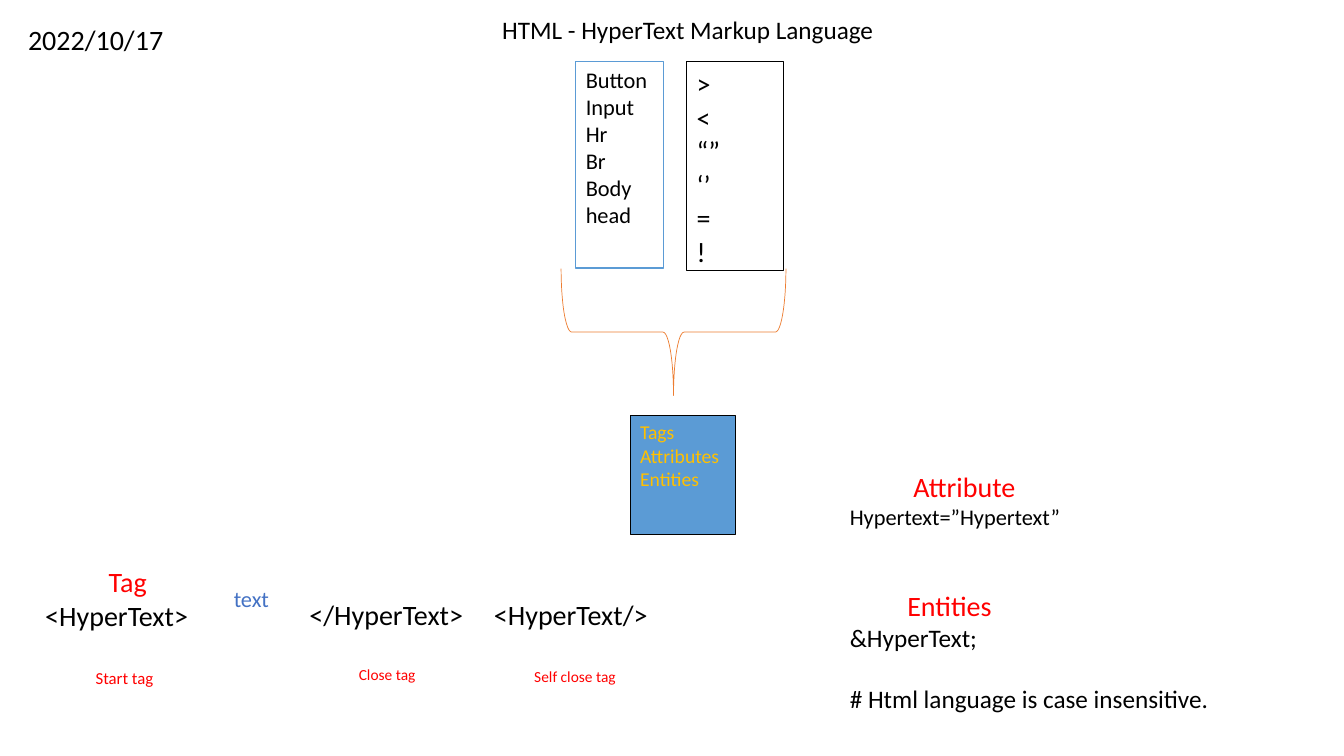
from dataclasses import dataclass
from typing import Optional

from lxml import etree
from pptx import Presentation
from pptx.dml.color import RGBColor
from pptx.enum import shapes, text
from pptx.oxml import ns
from pptx.util import Inches, Pt

BLACK = RGBColor(0x00, 0x00, 0x00)
WHITE = RGBColor(0xFF, 0xFF, 0xFF)
RED = RGBColor(0xFF, 0x00, 0x00)
BLUE = RGBColor(0x5B, 0x9B, 0xD5)
DARK_BLUE = RGBColor(0x44, 0x72, 0xC4)
ORANGE = RGBColor(0xED, 0x7D, 0x31)
GOLD = RGBColor(0xFF, 0xC0, 0x00)
FONT = "Calibri"


@dataclass(frozen=True)
class Line:
    text: str
    size: float
    color: RGBColor = BLACK
    indent: float = 0
    before: float = 0


@dataclass(frozen=True)
class Box:
    left: float
    top: float
    width: float
    height: float
    lines: list[Line]
    fill: RGBColor = WHITE
    border: Optional[RGBColor] = None
    border_pt: float = 0.5


def same_style(words: list[str], size: float, color: RGBColor = BLACK) -> list[Line]:
    return [Line(word, size, color) for word in words]


ELEMENT_LIST = Box(5.71, 0.61, 0.87, 2.05,
                   same_style(["Button", "Input", "Hr", "Br", "Body", "head"], 16),
                   border=BLUE, border_pt=1)
SYMBOL_LIST = Box(6.81, 0.61, 0.96, 2.07,
                  same_style([">", "<", "“”", "‘’", "=", "!"], 20), border=BLACK)
TITLE = Box(4.88, 0.07, 4.2, 0.44, [Line("HTML - HyperText Markup Language", 18)])

BOXES = [
    Box(6.25, 4.12, 1.04, 1.18,
        same_style(["Tags", "Attributes", "Entities"], 14, GOLD), BLUE, BLACK),
    Box(0.35, 5.55, 6.42, 1.52, [
        Line("Tag", 20, RED, indent=0.63),
        Line("<HyperText>", 20),
    ]),
    Box(2.97, 5.88, 1.75, 0.42, [Line("</HyperText>", 20)]),
    Box(4.8, 5.88, 1.75, 0.42, [Line("<HyperText/>", 20)]),
    Box(0.85, 6.58, 0.8, 0.44, [Line("Start tag", 12, RED)]),
    Box(2.22, 5.76, 0.62, 0.42, [Line("text", 16, DARK_BLUE)]),
    Box(3.46, 6.55, 1.01, 0.34, [Line("Close tag", 11, RED)]),
    Box(5.2, 6.57, 1.39, 0.3, [Line("Self close tag", 11, RED)]),
    Box(0.18, 0.17, 2.94, 0.39, [Line("2022/10/17", 20)]),
    Box(8.33, 4.61, 4.32, 2.7, [
        Line("Attribute", 20, RED, indent=0.63),
        Line("Hypertext=”Hypertext”", 16),
        Line("Entities", 20, RED, indent=0.57, before=42),
        Line("&HyperText;", 18),
        Line("# Html language is case insensitive.", 18, before=21.5),
    ]),
]


def write_line(p, content: str, *, size: float, color: RGBColor,
               indent: float = 0, before: float = 0) -> None:
    p.alignment = text.PP_ALIGN.LEFT
    p.space_before = Pt(before)
    pPr = p._p.get_or_add_pPr()
    pPr.set("marL", str(Inches(indent)))
    pPr.set("indent", "0")
    etree.SubElement(pPr, ns.qn("a:buNone"))
    r = p.add_run()
    r.text = content
    r.font.name = FONT
    r.font.size = Pt(size)
    r.font.color.rgb = color


def fill_box(s, box: Box, anchor: text.MSO_ANCHOR = text.MSO_ANCHOR.TOP) -> None:
    """Place, colour and write a shape or placeholder."""
    s.left, s.top = Inches(box.left), Inches(box.top)
    s.width, s.height = Inches(box.width), Inches(box.height)
    s.fill.solid()
    s.fill.fore_color.rgb = box.fill
    if box.border is None:
        s.line.fill.background()
    else:
        s.line.color.rgb = box.border
        s.line.width = Pt(box.border_pt)
    tf = s.text_frame
    tf.word_wrap = True
    tf.auto_size = text.MSO_AUTO_SIZE.NONE
    tf.vertical_anchor = anchor
    for i, line in enumerate(box.lines):
        p = tf.add_paragraph() if i else tf.paragraphs[0]
        write_line(p, line.text, size=line.size, color=line.color,
                   indent=line.indent, before=line.before)


def add_brace(slide) -> None:
    s = slide.shapes.add_shape(shapes.MSO_SHAPE.RIGHT_BRACE, Inches(6.05),
                               Inches(2.18), Inches(1.26), Inches(2.23))
    s.rotation = 90
    s.shadow.inherit = False
    s.fill.background()
    s.line.color.rgb = ORANGE
    s.line.width = Pt(0.5)


def main() -> None:
    prs = Presentation()
    prs.slide_width, prs.slide_height = Inches(13.33), Inches(7.5)
    slide = prs.slides.add_slide(prs.slide_layouts.get_by_name("Two Content"))
    fill_box(slide.shapes.title, TITLE, text.MSO_ANCHOR.MIDDLE)
    fill_box(slide.placeholders[1], ELEMENT_LIST)
    fill_box(slide.placeholders[2], SYMBOL_LIST)
    add_brace(slide)
    for box in BOXES:
        s = slide.shapes.add_shape(shapes.MSO_SHAPE.RECTANGLE, 0, 0, 0, 0)
        s.shadow.inherit = False
        fill_box(s, box)
    prs.save("out.pptx")


if __name__ == "__main__":
    main()
